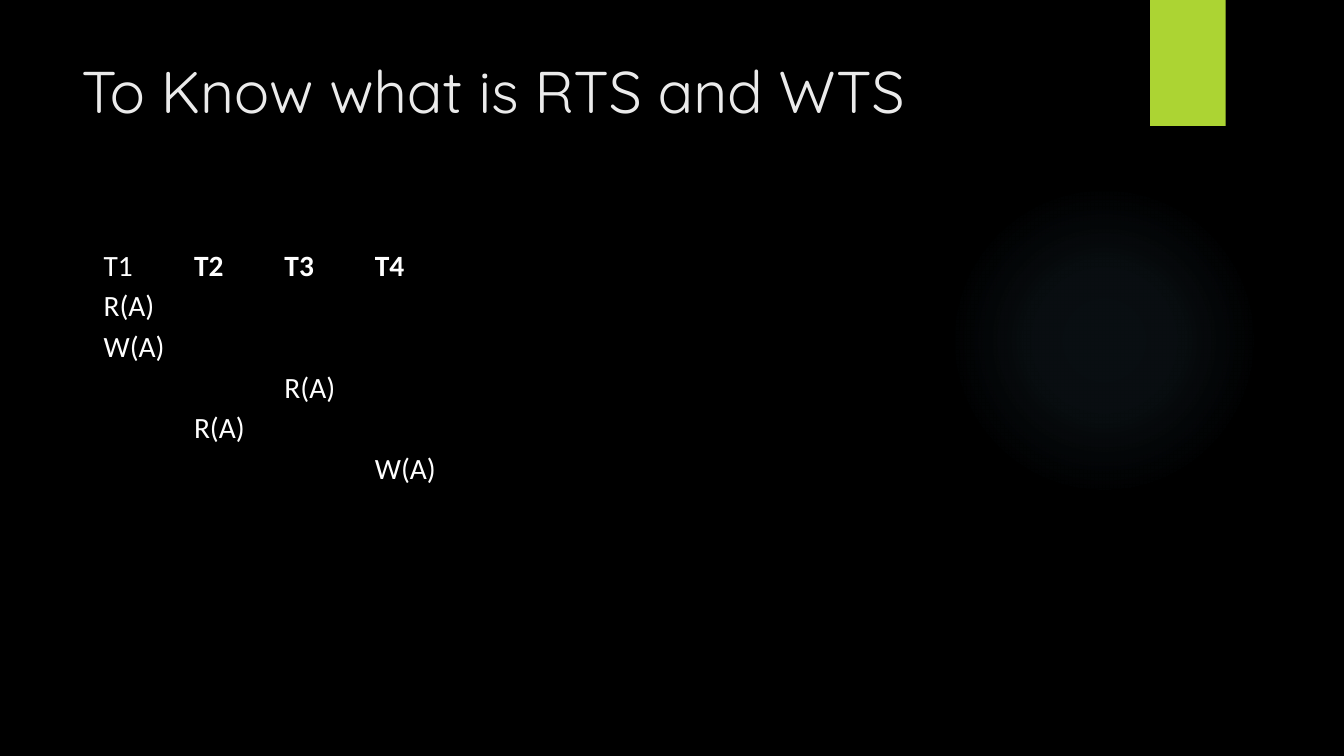
import lxml.etree
import pptx
import pptx.dml.color
import pptx.enum.shapes
import pptx.enum.text
import pptx.oxml
import pptx.oxml.ns
import pptx.util

THEME = {
    "background": "000000",
    "accent": "ACD433",
    "glow": "7AC4F0",
    "title": "EBEBEB",
    "body": "FFFFFF",
    "title_font": "Quicksand",
    "body_font": "Calibri",
    "title_size": 42,
    "body_size": 21,
    "border_width": 1,
}
SCHEDULE = [
    ["T1", "T2", "T3", "T4"],
    ["R(A)", "", "", ""],
    ["W(A)", "", "", ""],
    ["", "", "R(A)", ""],
    ["", "R(A)", "", ""],
    ["", "", "", "W(A)"],
]
GLOW_STOPS = [(0, 7), (36, 6), (69, 0)]


def write_text(frame, text, *, font, size, color, bold=False, spacing=1.0):
    paragraph = frame.paragraphs[0]
    paragraph.line_spacing = spacing
    run = paragraph.add_run()
    run.text = text
    run.font.name = font
    run.font.size = pptx.util.Pt(size)
    run.font.bold = bold
    run.font.color.rgb = pptx.dml.color.RGBColor.from_string(color)


def grid_box(left, top, width, height):
    return [round(column * length) for column, length in
            zip((left, top, width, height), (grid_column, grid_row) * 2)]


presentation = pptx.Presentation()
presentation.slide_width = pptx.util.Inches(40 / 3)
presentation.slide_height = pptx.util.Inches(7.5)
grid_column = presentation.slide_width / 160
grid_row = presentation.slide_height / 90

slide = presentation.slides.add_slide(presentation.slide_layouts[6])
slide.background.fill.solid()
slide.background.fill.fore_color.rgb = pptx.dml.color.RGBColor.from_string(THEME["background"])

glow = slide.shapes.add_shape(
    pptx.enum.shapes.MSO_SHAPE.OVAL, *grid_box(112.92, 21.96, 37, 37))
glow.shadow.inherit = False
glow.line.fill.background()
glow.fill.gradient()
stops = "".join(
    f'<a:gs pos="{position * 1000}"><a:srgbClr val="{THEME["glow"]}">'
    f'<a:alpha val="{opacity * 1000}"/></a:srgbClr></a:gs>'
    for position, opacity in GLOW_STOPS)
gradient = pptx.oxml.parse_xml(
    f'<a:gradFill {pptx.oxml.ns.nsdecls("a")} rotWithShape="1"><a:gsLst>{stops}</a:gsLst>'
    '<a:path path="circle"><a:fillToRect l="50000" t="50000" r="50000" b="50000"/></a:path>'
    '</a:gradFill>')
glow_properties = glow.element.spPr
glow_properties.replace(
    glow_properties.find(pptx.oxml.ns.qn("a:gradFill")), gradient)

accent_tab = slide.shapes.add_shape(
    pptx.enum.shapes.MSO_SHAPE.RECTANGLE, *grid_box(136.92, 0, 9, 15))
accent_tab.shadow.inherit = False
accent_tab.line.fill.background()
accent_tab.fill.solid()
accent_tab.fill.fore_color.rgb = pptx.dml.color.RGBColor.from_string(THEME["accent"])

title = slide.shapes.add_textbox(*grid_box(8.52, 5.88, 123.36, 18.36))
title.text_frame.word_wrap = True
title.text_frame.vertical_anchor = pptx.enum.text.MSO_ANCHOR.TOP
write_text(title.text_frame, "To Know what is RTS and WTS",
           font=THEME["title_font"], size=THEME["title_size"], color=THEME["title"])

row_count, column_count = len(SCHEDULE), len(SCHEDULE[0])
table = slide.shapes.add_table(
    row_count, column_count,
    *grid_box(11.5, 28.92, 10.77 * column_count, 4.6 * row_count)).table
table.first_row = False
table.horz_banding = False
for row_index, operations in enumerate(SCHEDULE):
    for column_index, operation in enumerate(operations):
        cell = table.cell(row_index, column_index)
        cell.margin_left = cell.margin_right = pptx.util.Inches(0.07)
        cell.margin_top = cell.margin_bottom = 0
        if operation:
            write_text(cell.text_frame, operation, font=THEME["body_font"],
                       size=THEME["body_size"], color=THEME["body"],
                       bold=row_index == 0 and column_index > 0, spacing=1.15)
        cell_properties = cell._tc.get_or_add_tcPr()
        for side in ("lnL", "lnR", "lnT", "lnB"):
            border = lxml.etree.SubElement(
                cell_properties, pptx.oxml.ns.qn(f"a:{side}"),
                w=str(pptx.util.Pt(THEME["border_width"])))
            border_fill = lxml.etree.SubElement(border, pptx.oxml.ns.qn("a:solidFill"))
            lxml.etree.SubElement(border_fill, pptx.oxml.ns.qn("a:srgbClr"),
                                  val=THEME["background"])
        cell.fill.background()

presentation.save("out.pptx")
